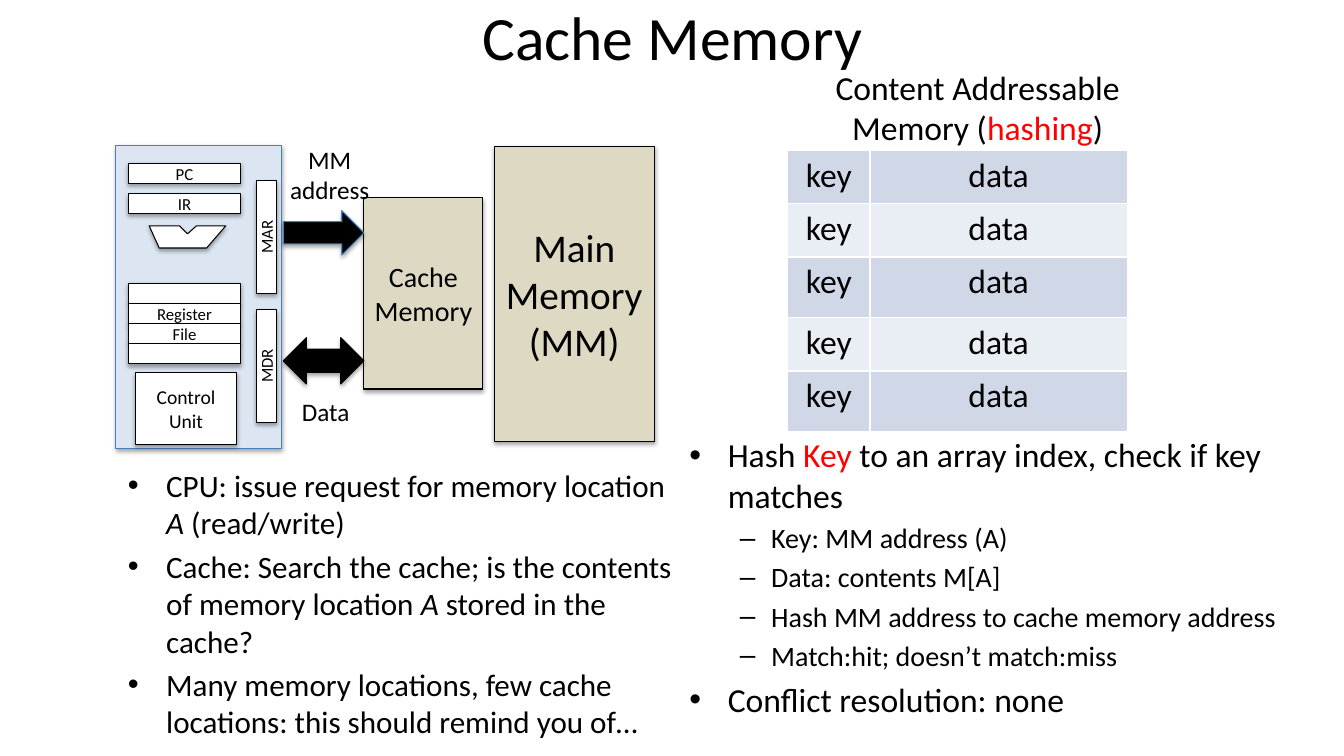
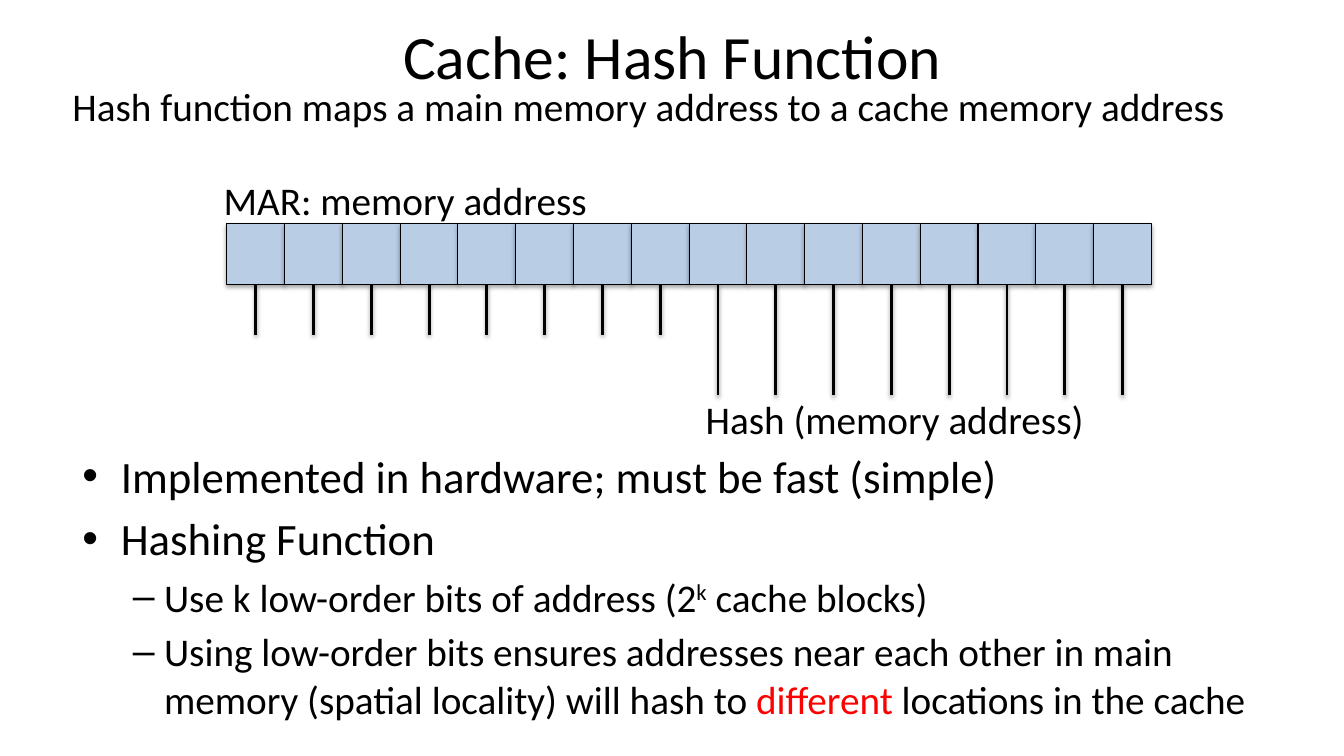
from typing import NamedTuple

from lxml.etree import SubElement
from pptx import Presentation
from pptx.dml.color import RGBColor
from pptx.enum.shapes import MSO_CONNECTOR, MSO_SHAPE
from pptx.enum.text import MSO_ANCHOR, PP_ALIGN
from pptx.oxml.ns import qn
from pptx.util import Inches, Pt

FONT = "Calibri"
COLORS = {
    "text": "000000",
    "accent": "FF0000",
    "outline": "000000",
    "cpu_outline": "4B7EBC",
    "cpu": "DCE6F2",
    "part": "FFFFFF",
    "memory": "DDD9C3",
    "arrow": "000000",
    "bit": "B9CDE5",
    "band_dark": "D0D8E8",
    "band_light": "E9EDF4",
    "border": "FFFFFF",
}
BULLETS = [("•", 0.38, 0.38), ("–", 0.81, 0.31)]


class Box(NamedTuple):
    """A rectangle in inches."""

    left: float
    top: float
    width: float
    height: float

    def inner(self, left, top, width, height):
        """Return a box offset from this one."""
        return Box(self.left + left, self.top + top, width, height)

    def lengths(self):
        """Return the four sides as slide lengths."""
        return [Inches(value) for value in self]


def color(name):
    """Return a named color."""
    return RGBColor.from_string(COLORS[name])


def add_shadow(item, opacity=35):
    """Give a shape or connector a soft shadow below it."""
    properties = item._element.spPr
    for old in properties.findall(qn("a:effectLst")):
        properties.remove(old)
    effects = SubElement(properties, qn("a:effectLst"))
    shadow = SubElement(effects, qn("a:outerShdw"), blurRad=str(Pt(3.1)),
                        dist=str(Pt(1.8)), dir="5400000", rotWithShape="0")
    tone = SubElement(shadow, qn("a:srgbClr"), val=COLORS["outline"])
    SubElement(tone, qn("a:alpha"), val=str(opacity * 1000))


def write_paragraph(para, pieces, size, align=None):
    """Write plain or (text, mark) pieces into a paragraph."""
    para.font.name = FONT
    para.font.size = Pt(size)
    para.font.color.rgb = color("text")
    para.alignment = align
    for piece in [pieces] if isinstance(pieces, str) else pieces:
        text, mark = (piece, None) if isinstance(piece, str) else piece
        span = para.add_run()
        span.text = text
        if mark == "accent":
            span.font.color.rgb = color("accent")
        elif mark == "italic":
            span.font.italic = True
        elif mark == "super":
            span.font._element.set("baseline", "30000")


def write_lines(frame, lines, size, align=None):
    """Write one paragraph for each line."""
    for index, line in enumerate(lines):
        para = frame.add_paragraph() if index else frame.paragraphs[0]
        write_paragraph(para, line, size, align)


def add_label(shapes, box, lines, size, align=PP_ALIGN.LEFT, wrap=False):
    """Add a text box."""
    frame = shapes.add_textbox(*box.lengths()).text_frame
    frame.word_wrap = wrap
    write_lines(frame, lines, size, align)


def add_bullets(shapes, box, items):
    """Add a bulleted list of (level, size, pieces) items."""
    frame = shapes.add_textbox(*box.lengths()).text_frame
    frame.word_wrap = True
    for index, (level, size, pieces) in enumerate(items):
        para = frame.add_paragraph() if index else frame.paragraphs[0]
        symbol, margin, hang = BULLETS[level]
        para.level = level
        para.space_before = Pt(size * 0.2)
        write_paragraph(para, pieces, size)
        properties = para._p.get_or_add_pPr()
        properties.set("marL", str(Inches(margin)))
        properties.set("indent", str(-Inches(hang)))
        defaults = properties.find(qn("a:defRPr"))
        bullet_font = SubElement(properties, qn("a:buFont"), typeface="Arial")
        bullet = SubElement(properties, qn("a:buChar"), char=symbol)
        defaults.addprevious(bullet_font)
        defaults.addprevious(bullet)


def style_shape(shape, fill, outline="outline"):
    """Set the fill, outline and shadow of a shape."""
    shape.fill.solid()
    shape.fill.fore_color.rgb = color(fill)
    shape.line.color.rgb = color(outline)
    shape.line.width = Pt(0.75)
    shape.shadow.inherit = False
    add_shadow(shape)


def add_block(shapes, box, fill, lines=(), size=12, outline="outline",
              kind=MSO_SHAPE.RECTANGLE, rotation=0):
    """Add a filled shape with centered text."""
    shape = shapes.add_shape(kind, *box.lengths())
    style_shape(shape, fill, outline)
    shape.rotation = rotation
    frame = shape.text_frame
    frame.vertical_anchor = MSO_ANCHOR.MIDDLE
    frame.margin_left = frame.margin_right = 0
    frame.margin_top = frame.margin_bottom = 0
    write_lines(frame, lines, size, PP_ALIGN.CENTER)


def add_page(deck, title, box):
    """Add a slide with a title in the given box."""
    page = deck.slides.add_slide(deck.slide_layouts.get_by_name("Title Only"))
    holder = page.shapes.title
    holder.left, holder.top, holder.width, holder.height = box.lengths()
    holder.text_frame.vertical_anchor = MSO_ANCHOR.MIDDLE
    write_lines(holder.text_frame, [title], 44, PP_ALIGN.CENTER)
    return page


def add_cpu(page, box):
    """Draw the processor and its registers."""
    shapes = page.shapes.add_group_shape().shapes
    add_block(shapes, box, "cpu", outline="cpu_outline")
    rows = [(0.18, "PC"), (0.48, "IR")]
    rows += [(1.37 + 0.2 * index, name)
             for index, name in enumerate(["", "Register", "File", ""])]
    for top, name in rows:
        add_block(shapes, box.inner(0.12, top, 1.12, 0.2), "part", [name])
    for top, name in [(0.81, "MAR"), (2.09, "MDR")]:
        add_block(shapes, box.inner(0.93, top, 1.12, 0.2), "part", [name],
                  rotation=270)
    add_block(shapes, box.inner(0.19, 2.26, 1.01, 0.71), "part",
              ["Control", "Unit"], 14)
    corners = [(0, 0), (0.3, 0), (0.38, 0.08), (0.47, 0), (0.76, 0),
               (0.57, 0.22), (0.1, 0.22)]
    points = [(Inches(box.left + 0.33 + x), Inches(box.top + 0.8 + y))
              for x, y in corners]
    outline = shapes.build_freeform(*points[0])
    outline.add_line_segments(points[1:])
    style_shape(outline.convert_to_shape(), "part")


def add_memory_diagram(page, box):
    """Draw the processor, cache and main memory with their links."""
    shapes = page.shapes
    add_block(shapes, box.inner(2.46, 0.52, 1.18, 1.9), "memory",
              ["Cache", "Memory"], 20)
    add_block(shapes, box.inner(3.75, 0.01, 1.59, 2.93), "memory",
              ["Main", "Memory", "(MM)"], 28)
    add_cpu(page, box.inner(0, 0, 1.64, 3.01))
    add_block(shapes, box.inner(1.66, 0.65, 0.8, 0.44), "arrow",
              outline="cpu_outline", kind=MSO_SHAPE.RIGHT_ARROW)
    add_block(shapes, box.inner(1.66, 1.91, 0.8, 0.46), "arrow",
              kind=MSO_SHAPE.LEFT_RIGHT_ARROW)
    add_label(shapes, box.inner(1.62, -0.06, 1, 0.71), ["MM", "address"], 18,
              PP_ALIGN.CENTER)
    add_label(shapes, box.inner(1.74, 2.44, 0.68, 0.4), ["Data"], 18,
              PP_ALIGN.CENTER)


def add_key_table(page, box):
    """Add the banded table of keys and data."""
    heights = [0.53, 0.53, 0.6, 0.53, 0.6]
    table = page.shapes.add_table(len(heights), 2, *box.lengths()).table
    table.first_row = False
    for column, width in zip(table.columns, [0.82, box.width - 0.82]):
        column.width = Inches(width)
    for index, height in enumerate(heights):
        table.rows[index].height = Inches(height)
        for cell, text in zip(table.rows[index].cells, ["key", "data"]):
            write_lines(cell.text_frame, [text], 24, PP_ALIGN.CENTER)
            properties = cell._tc.get_or_add_tcPr()
            for side in ["lnL", "lnR", "lnT", "lnB"]:
                edge = SubElement(properties, qn("a:" + side), w=str(Pt(1)))
                paint = SubElement(edge, qn("a:solidFill"))
                SubElement(paint, qn("a:srgbClr"), val=COLORS["border"])
            cell.fill.solid()
            cell.fill.fore_color.rgb = color(
                "band_light" if index % 2 else "band_dark")


def add_address_bits(page, box, count=16):
    """Draw the address register with its low half leading to the hash."""
    shapes = page.shapes.add_group_shape().shapes
    pitch = box.width / count
    bottom = Inches(box.top + box.height)
    for index in range(count):
        add_block(shapes, box.inner(index * pitch, 0, pitch, box.height), "bit")
        middle = Inches(box.left + (index + 0.5) * pitch)
        length = Inches(0.5 if index < count // 2 else 1.1)
        wire = shapes.add_connector(MSO_CONNECTOR.STRAIGHT, middle, bottom,
                                    middle, bottom + length)
        wire.line.color.rgb = color("outline")
        wire.line.width = Pt(2)
        add_shadow(wire, 38)
    add_label(shapes, box.inner(-0.13, -0.52, 3.85, 0.57),
              ["MAR: memory address"], 28)
    add_label(shapes, box.inner(4.65, 1.65, 3.99, 0.57),
              ["Hash (memory address)"], 28)


def build_cache_memory(deck):
    """Build the slide on cache memory."""
    page = add_page(deck, "Cache Memory", Box(2.17, -0.27, 9, 1.25))
    add_bullets(page.shapes, Box(1.17, 4.58, 5.65, 2.58), [
        (0, 22.2, ["CPU: issue request for memory location ",
                   ("A", "italic"), " (read/write)"]),
        (0, 22.2, ["Cache: Search the cache; is the contents of memory location ",
                   ("A", "italic"), " stored in the cache?"]),
        (0, 22.2, "Many memory locations, few cache locations: "
                  "this should remind you of…"),
    ])
    add_memory_diagram(page, Box(1.15, 1.44, 5.34, 3.01))
    add_bullets(page.shapes, Box(6.74, 4.26, 6.46, 3.22), [
        (0, 24, ["Hash ", ("Key", "accent"),
                 " to an array index, check if key matches"]),
        (1, 20, "Key: MM address (A)"),
        (1, 20, "Data: contents M[A]"),
        (1, 20, "Hash MM address to cache memory address"),
        (1, 20, "Match:hit; doesn’t match:miss"),
        (0, 24, "Conflict resolution: none"),
    ])
    add_key_table(page, Box(7.81, 1.49, 3.37, 2.79))
    heading = ["Content Addressable Memory (", ("hashing", "accent"), ")"]
    add_label(page.shapes, Box(7.94, 0.61, 3.51, 0.91), [heading], 24,
              PP_ALIGN.CENTER, wrap=True)


def build_hash_function(deck):
    """Build the slide on the hash function."""
    page = add_page(deck, "Cache: Hash Function", Box(2.17, 0.03, 9, 1.02))
    add_label(page.shapes, Box(0.62, 0.77, 12, 0.57),
              ["Hash function maps a main memory address to a cache memory address"],
              28, wrap=True)
    add_address_bits(page, Box(2.25, 2.22, 9.17, 0.6))
    add_bullets(page.shapes, Box(0.72, 4.4, 12, 3.1), [
        (0, 32, "Implemented in hardware; must be fast (simple)"),
        (0, 32, "Hashing Function"),
        (1, 28, ["Use k low-order bits of address (2", ("k", "super"),
                 " cache blocks)"]),
        (1, 28, ["Using low-order bits ensures addresses near each other in main "
                 "memory (spatial locality) will hash to ",
                 ("different", "accent"), " locations in the cache"]),
    ])


def main():
    """Build and save the deck."""
    deck = Presentation()
    deck.slide_width, deck.slide_height = Inches(13.33), Inches(7.5)
    build_cache_memory(deck)
    build_hash_function(deck)
    deck.save("out.pptx")


if __name__ == "__main__":
    main()
